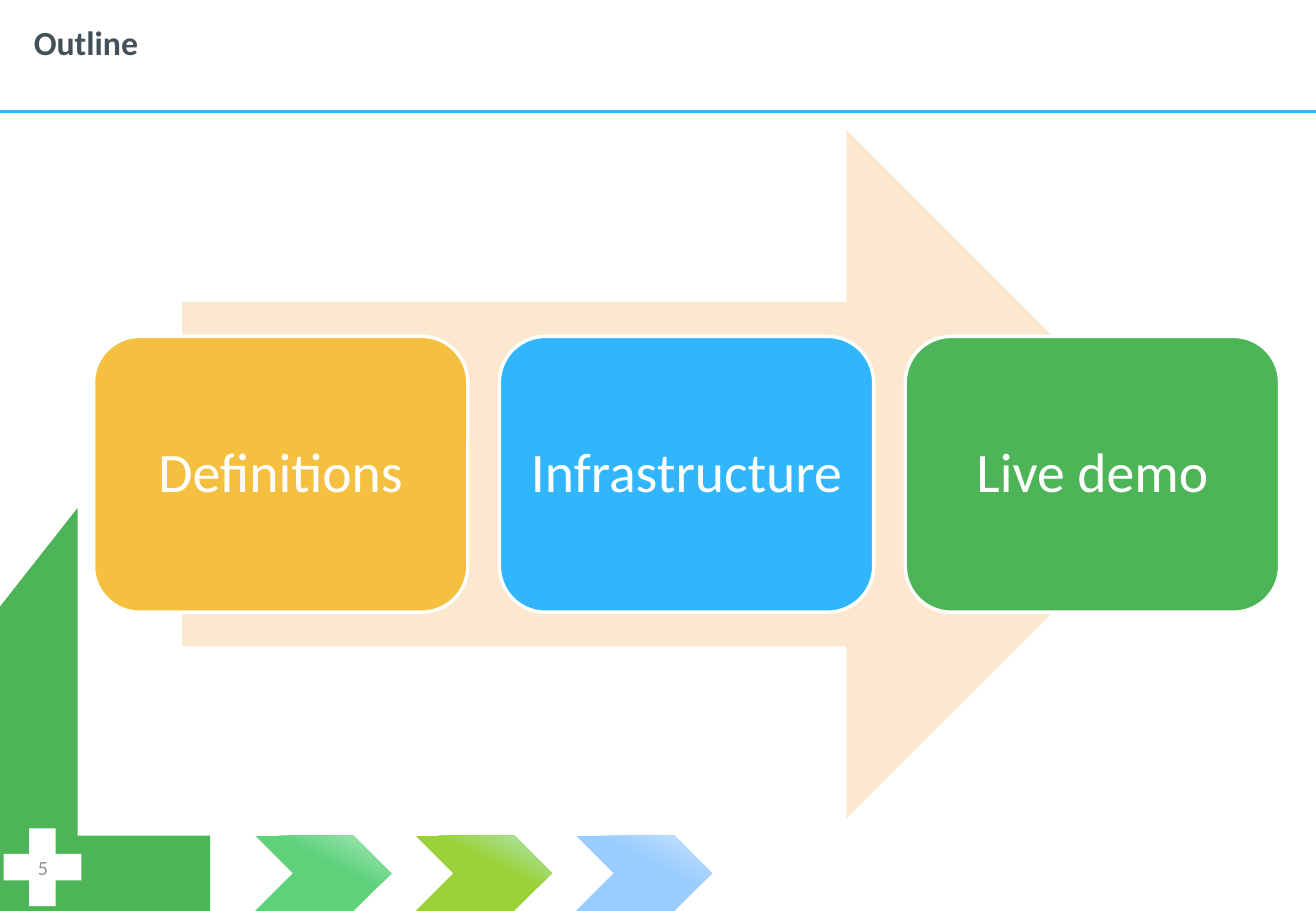
import pptx
import pptx.util
import pptx.dml.color
import pptx.enum.shapes
import pptx.enum.text
import pptx.oxml.ns
from dataclasses import dataclass
from lxml import etree

Inches = pptx.util.Inches
SHAPE = pptx.enum.shapes.MSO_SHAPE
ALIGN = pptx.enum.text.PP_ALIGN
ANCHOR = pptx.enum.text.MSO_ANCHOR


@dataclass(frozen=True)
class Theme:
    font: str = "Calibri"
    title_size: int = 20
    number_size: int = 12
    step_size: int = 33
    white: str = "FFFFFF"
    title: str = "43525A"
    number: str = "939393"
    amber: str = "F5C040"
    blue: str = "31B6FD"
    green: str = "4EB458"
    arrow: str = "FBE8CF"
    chevrons: tuple = (("5DD27B", "AEE8BD"), ("9AD137", "AEE8BD"), ("99CCFF", "CCE6FF"))


def rgb(color):
    return pptx.dml.color.RGBColor.from_string(color)


class SlideBuilder:
    def __init__(self, slide, theme):
        self.slide = slide
        self.theme = theme

    def paint(self, sp, fill, line=None, width=2):
        sp.shadow.inherit = False
        sp.fill.solid()
        sp.fill.fore_color.rgb = rgb(fill)
        if line:
            sp.line.color.rgb = rgb(line)
            sp.line.width = pptx.util.Pt(width)
        else:
            sp.line.fill.background()
        return sp

    def shape(self, kind, box, fill, line=None):
        sp = self.slide.shapes.add_shape(kind, *map(Inches, box))
        return self.paint(sp, fill, line)

    def gradient_chevron(self, box, colors):
        sp = self.shape(SHAPE.CHEVRON, box, colors[0])
        sp.fill.gradient()
        sp.fill.gradient_angle = 63
        for stop, position, color in zip(sp.fill.gradient_stops, (0.59, 1), colors):
            stop.position = position
            stop.color.rgb = rgb(color)

    def polygon(self, points, fill):
        start, *rest = [(Inches(x), Inches(y)) for x, y in points]
        builder = self.slide.shapes.build_freeform(*start)
        builder.add_line_segments(rest, close=True)
        self.paint(builder.convert_to_shape(), fill)

    def rule(self, y, length, color, width):
        line = self.slide.shapes.add_connector(
            pptx.enum.shapes.MSO_CONNECTOR.STRAIGHT, 0, Inches(y), Inches(length), Inches(y))
        line.line.color.rgb = rgb(color)
        line.line.width = pptx.util.Pt(width)
        etree.SubElement(line._element.spPr, pptx.oxml.ns.qn("a:effectLst"))

    def add_text(self, tf, text, size, color, align=ALIGN.CENTER, anchor=ANCHOR.MIDDLE, bold=False):
        tf.word_wrap = True
        tf.vertical_anchor = anchor
        p = tf.paragraphs[0]
        p.alignment = align
        r = p.add_run()
        r.text = text
        r.font.name = self.theme.font
        r.font.size = pptx.util.Pt(size)
        r.font.bold = bold
        r.font.color.rgb = rgb(color)
        return p

    def text_box(self, box, *args, **style):
        tb = self.slide.shapes.add_textbox(*map(Inches, box))
        self.add_text(tb.text_frame, *args, **style)

    def step(self, box, text, fill):
        sp = self.shape(SHAPE.ROUNDED_RECTANGLE, box, fill, self.theme.white)
        tf = sp.text_frame
        tf.margin_left = tf.margin_right = tf.margin_top = tf.margin_bottom = Inches(0.14)
        p = self.add_text(tf, text, self.theme.step_size, self.theme.white)
        p.line_spacing = 0.9


def main():
    prs = pptx.Presentation()
    prs.slide_width, prs.slide_height = Inches(10.83), Inches(7.5)
    theme = Theme()
    s = SlideBuilder(prs.slides.add_slide(prs.slide_layouts[6]), theme)

    for i, colors in enumerate(theme.chevrons):
        s.gradient_chevron((2.1 + 1.32 * i, 6.88, 1.12, 0.62), colors)
    s.polygon([(-0.02, 5.02), (0.64, 4.18), (0.64, 6.88), (1.73, 6.88),
               (1.73, 7.51), (-0.02, 7.51)], theme.green)
    plus = s.shape(SHAPE.CROSS, (0.03, 6.82, 0.64, 0.64), theme.white)
    plus.adjustments[0] = 0.33
    s.rule(0.92, 10.83, theme.blue, 1.5)

    s.text_box((0.18, 0.13, 8.94, 0.44), "Outline", theme.title_size, theme.title,
               align=ALIGN.LEFT, anchor=ANCHOR.TOP, bold=True)
    s.text_box((0.08, 6.94, 0.55, 0.4), "5", theme.number_size, theme.number)

    s.shape(SHAPE.RIGHT_ARROW, (1.5, 1.07, 8.3, 5.67), theme.arrow)
    steps = (("Definitions", theme.amber), ("Infrastructure", theme.blue), ("Live demo", theme.green))
    for i, (label, fill) in enumerate(steps):
        s.step((0.77 + 3.34 * i, 2.77, 3.08, 2.27), label, fill)

    prs.save("out.pptx")


if __name__ == "__main__":
    main()
